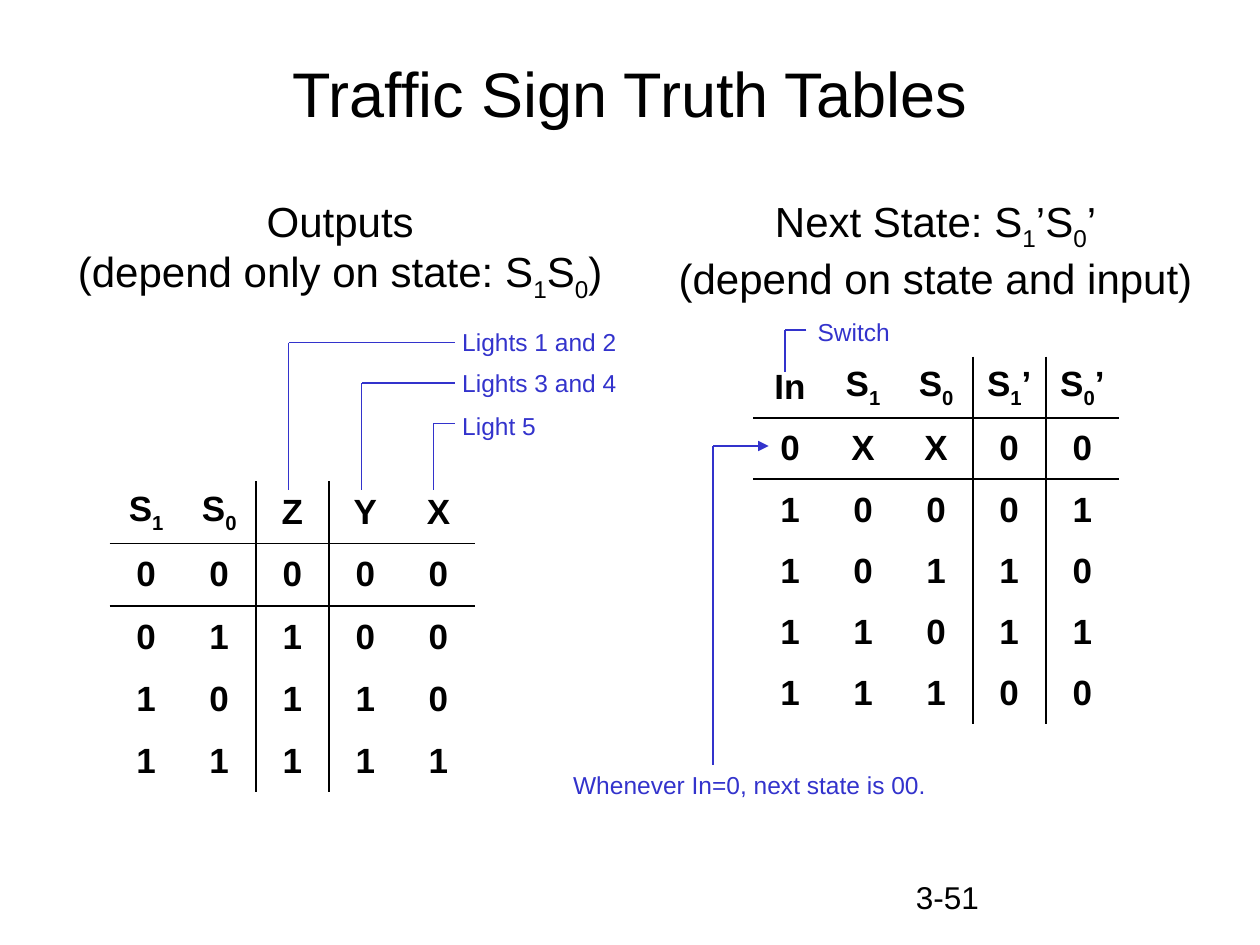
from itertools import pairwise

from lxml.etree import SubElement
from pptx import Presentation
from pptx.dml.color import RGBColor
from pptx.enum.shapes import MSO_CONNECTOR as Connector
from pptx.enum.text import MSO_ANCHOR as Anchor, MSO_AUTO_SIZE as AutoSize, PP_ALIGN as Align
from pptx.oxml.ns import qn
from pptx.util import Inches, Pt

FONT = "Arial"
BLACK = "000000"
BLUE = "3333CC"
COLUMN_WIDTH = 0.58
RULE_WIDTH = 1.08
NO_STYLE_NO_GRID = "{2D5ABB26-0587-4C30-8999-92F81FD0307C}"

OUTPUT_ROWS = ["S_1 S_0 Z Y X", "0 0 0 0 0", "0 1 1 0 0", "1 0 1 1 0", "1 1 1 1 1"]
NEXT_STATE_ROWS = [
    "In S_1 S_0 S_1’ S_0’",
    "0 X X 0 0",
    "1 0 0 0 1",
    "1 0 1 1 0",
    "1 1 0 1 1",
    "1 1 1 0 0",
]


def color(hex_string):
    return RGBColor.from_string(hex_string)


def add_run(paragraph, text, size, hex_color, bold=False, subscript=False):
    run = paragraph.add_run()
    run.text = text
    run.font.name = FONT
    run.font.size = Pt(size)
    run.font.bold = bold
    run.font.color.rgb = color(hex_color)
    if subscript:
        run._r.get_or_add_rPr().set("baseline", "-25000")


def write_text(paragraph, text, size, hex_color=BLACK, bold=False):
    """Add the text run by run; the character after an underscore is a subscript."""
    first, *rest = text.split("_")
    add_run(paragraph, first, size, hex_color, bold)
    for part in rest:
        add_run(paragraph, part[0], size, hex_color, bold, subscript=True)
        if part[1:]:
            add_run(paragraph, part[1:], size, hex_color, bold)


def add_title(slide, text):
    title = slide.shapes.title
    title.left, title.top = Inches(0.5), Inches(0.3)
    title.width, title.height = Inches(9), Inches(0.87)
    title.text_frame.vertical_anchor = Anchor.MIDDLE
    paragraph = title.text_frame.paragraphs[0]
    paragraph.alignment = Align.CENTER
    write_text(paragraph, text, 36)


def add_text(slide, lines, left, top, width, height, size, hex_color=BLACK,
             align=Align.LEFT):
    box = slide.shapes.add_textbox(Inches(left), Inches(top), Inches(width), Inches(height))
    frame = box.text_frame
    frame.word_wrap = False
    frame.auto_size = AutoSize.NONE
    for index, line in enumerate(lines):
        paragraph = frame.add_paragraph() if index else frame.paragraphs[0]
        paragraph.alignment = align
        write_text(paragraph, line, size, hex_color)


def add_label(slide, text, left, top, width):
    add_text(slide, [text], left, top, width, 0.34, 14, BLUE)


def add_border(cell, side):
    line = SubElement(cell._tc.get_or_add_tcPr(), qn(f"a:ln{side}"), w=str(Pt(RULE_WIDTH)))
    fill = SubElement(line, qn("a:solidFill"))
    SubElement(fill, qn("a:srgbClr"), val=BLACK)


def add_truth_table(slide, rows, left, top, height, input_count):
    """Add a table ruled below its header and after its input columns."""
    cells = [row.split() for row in rows]
    column_count = len(cells[0])
    table = slide.shapes.add_table(
        len(cells), column_count, Inches(left), Inches(top),
        Inches(COLUMN_WIDTH * column_count), Inches(height)).table
    table.first_row = table.horz_banding = False
    table._tbl.tblPr.find(qn("a:tableStyleId")).text = NO_STYLE_NO_GRID
    for row_index, row in enumerate(cells):
        for column_index, text in enumerate(row):
            cell = table.cell(row_index, column_index)
            cell.vertical_anchor = Anchor.MIDDLE
            paragraph = cell.text_frame.paragraphs[0]
            paragraph.alignment = Align.CENTER
            write_text(paragraph, text, 20, bold=True)
            sides = {
                "L": column_index == input_count,
                "R": column_index == input_count - 1,
                "T": row_index == 1,
                "B": row_index == 0,
            }
            for side, ruled in sides.items():
                if ruled:
                    add_border(cell, side)
            cell.fill.background()


def add_leader(slide, *points, arrow=False):
    """Join the points with straight lines, with an optional arrowhead at the end."""
    for start, end in pairwise(points):
        connector = slide.shapes.add_connector(
            Connector.STRAIGHT, *(Inches(value) for value in start + end))
        connector.line.color.rgb = color(BLUE)
        connector.line.width = Pt(0.75)
        properties = connector._element.spPr
        if arrow and end == points[-1]:
            SubElement(properties.find(qn("a:ln")), qn("a:tailEnd"), type="triangle")
        SubElement(properties, qn("a:effectLst"))


def add_outputs(slide):
    add_text(slide, ["Outputs", "(depend only on state: S_1S_0)"],
             0.52, 1.5, 4.36, 0.96, 24, align=Align.CENTER)
    add_truth_table(slide, OUTPUT_ROWS, 0.87, 3.82, 2.47, input_count=2)
    lights = [
        ("Lights 1 and 2", 2.55, 1.42, 2.29),
        ("Lights 3 and 4", 2.87, 1.42, 2.87),
        ("Light 5", 3.21, 0.78, 3.44),
    ]
    for index, (text, top, width, column_x) in enumerate(lights):
        add_label(slide, text, 3.57, top, width)
        leader_y = 2.72 + 0.32 * index
        add_leader(slide, (3.61, leader_y), (column_x, leader_y), (column_x, 3.89))


def add_next_state(slide):
    add_text(slide, ["Next State: S_1’S_0’", "(depend on state and input)"],
             5.29, 1.5, 4.27, 0.96, 24, align=Align.CENTER)
    add_truth_table(slide, NEXT_STATE_ROWS, 5.98, 2.83, 2.92, input_count=3)
    add_label(slide, "Switch", 6.39, 2.47, 0.77)
    add_leader(slide, (6.4, 2.62), (6.23, 2.62), (6.23, 2.95))
    add_label(slide, "Whenever In=0, next state is 00.", 4.45, 6.06, 3)
    add_leader(slide, (5.66, 6.07), (5.66, 3.54), (6.1, 3.54), arrow=True)


def main():
    presentation = Presentation()
    presentation.slide_width, presentation.slide_height = Inches(10), Inches(7.5)
    slide = presentation.slides.add_slide(presentation.slide_layouts[5])
    add_title(slide, "Traffic Sign Truth Tables")
    add_outputs(slide)
    add_next_state(slide)
    add_text(slide, ["3-51"], 7.17, 6.92, 2.58, 0.42, 18)
    presentation.save("out.pptx")


if __name__ == "__main__":
    main()
